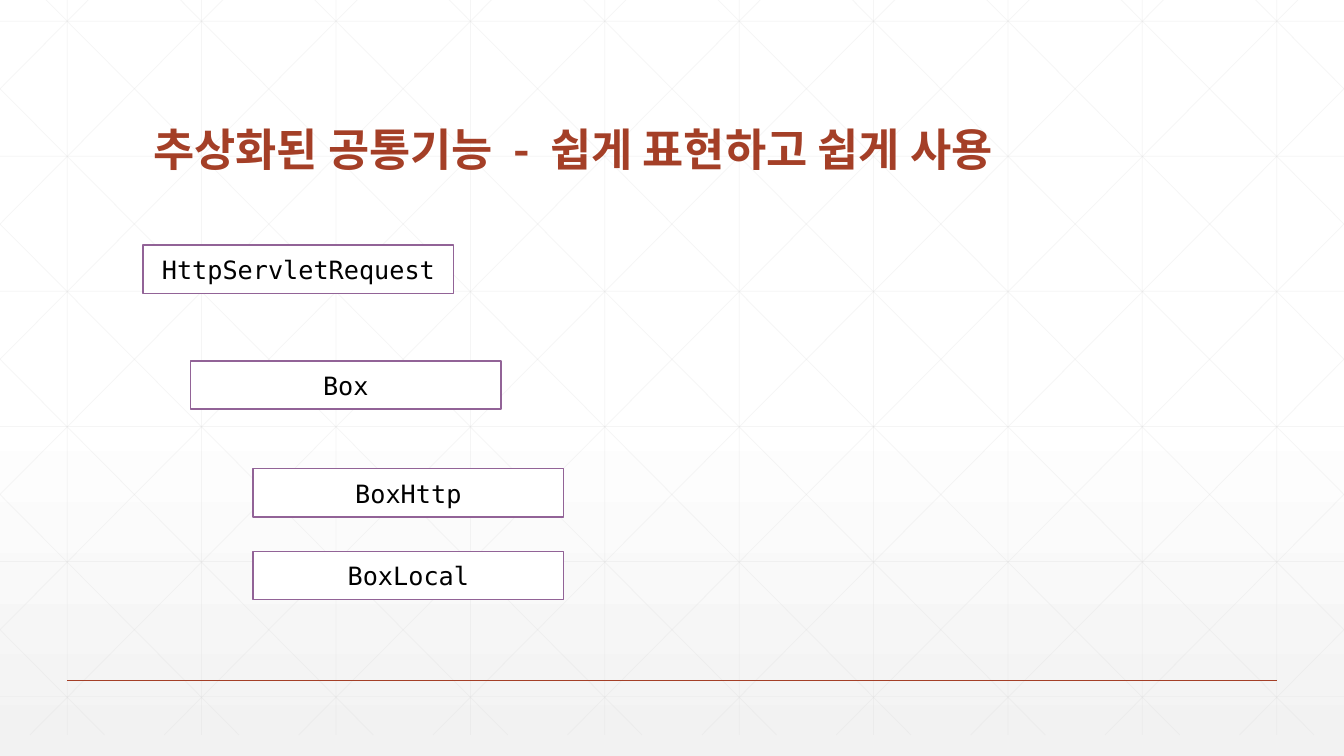
from dataclasses import dataclass

from lxml.etree import SubElement
from pptx import Presentation
from pptx.dml.color import RGBColor
from pptx.enum.shapes import MSO_CONNECTOR, MSO_SHAPE
from pptx.enum.text import MSO_ANCHOR, PP_ALIGN
from pptx.oxml import parse_xml
from pptx.oxml.ns import nsdecls, qn
from pptx.slide import Slide
from pptx.text.text import TextFrame
from pptx.util import Inches, Pt

# The slide is a grid of 100 columns by 100 rows
WIDTH, HEIGHT = Inches(13.333), Inches(7.5)
COLORS = {
    "paper": "FFFFFF",
    "fade": "F2F2F2",
    "mesh": "D9D9D9",
    "accent": "A43F27",
    "border": "926397",
    "code": "000000",
}
TITLE_FONT, CODE_FONT = "Noto Sans CJK KR", "DejaVu Sans Mono"

# Background mesh, in columns and rows
MESH_TOP, MESH_BOTTOM = -2.8, 97.2
COLUMN_STEP, ROW_STEP = 10, 17.87
DIAGONAL_START, DIAGONAL_RUN = 1.87, 55.9


@dataclass(frozen=True)
class ClassBox:
    name: str
    column: float
    row: float
    columns: float = 23.1
    rows: float = 6.4


CLASS_BOXES = [
    ClassBox("HttpServletRequest", 10.65, 32.4),
    ClassBox("Box", 14.18, 47.73),
    ClassBox("BoxHttp", 18.83, 62),
    ClassBox("BoxLocal", 18.83, 72.93),
]


def across(columns: float) -> int:
    return round(WIDTH * columns / 100)


def down(rows: float) -> int:
    return round(HEIGHT * rows / 100)


def color(name: str) -> RGBColor:
    return RGBColor.from_string(COLORS[name])


def write(frame: TextFrame, text: str, *, font: str, size: float, ink: str,
          bold: bool = False, spacing: float = 0) -> None:
    """Append a run to the first paragraph of a frame."""
    run = frame.paragraphs[0].add_run()
    run.text = text
    run.font.name, run.font.size, run.font.bold = font, Pt(size), bold
    run.font.color.rgb = color(ink)
    properties = run.font._element
    SubElement(properties, qn("a:ea")).set("typeface", font)
    if spacing:
        properties.set("spc", str(round(spacing * 100)))


def draw_line(slide: Slide, start: tuple[float, float], end: tuple[float, float],
              ink: str, width: float, opacity: int = 100) -> None:
    line = slide.shapes.add_connector(
        MSO_CONNECTOR.STRAIGHT, across(start[0]), down(start[1]),
        across(end[0]), down(end[1]))
    line.line.width = Pt(width)
    line.line.color.rgb = color(ink)
    properties = line._element.spPr
    if opacity < 100:
        shade = properties.find(".//" + qn("a:srgbClr"))
        SubElement(shade, qn("a:alpha")).set("val", str(opacity * 1000))
    SubElement(properties, qn("a:effectLst"))


def paint_background(slide: Slide) -> None:
    slide.background.fill.gradient()
    gradient = slide.background._cSld.find(".//" + qn("a:gradFill"))
    gradient.getparent().replace(gradient, parse_xml(
        f'<a:gradFill rotWithShape="1" {nsdecls("a")}><a:gsLst>'
        f'<a:gs pos="0"><a:srgbClr val="{COLORS["paper"]}"/></a:gs>'
        f'<a:gs pos="53000"><a:srgbClr val="{COLORS["paper"]}"/></a:gs>'
        f'<a:gs pos="100000"><a:srgbClr val="{COLORS["fade"]}">'
        '<a:alpha val="65000"/></a:srgbClr></a:gs>'
        '</a:gsLst><a:lin ang="5400000" scaled="0"/></a:gradFill>'))


def draw_mesh(slide: Slide) -> None:
    segments = []
    for index in range(10):
        column = COLUMN_STEP * (index + 0.5)
        segments.append(((column, MESH_TOP), (column, MESH_BOTTOM)))
    for index in range(6):
        row = -MESH_TOP + ROW_STEP * index
        segments.append(((0, row), (100, row)))

    # Diagonals stop at the slide's sides; each has a mirrored twin
    slope = (MESH_BOTTOM - MESH_TOP) / DIAGONAL_RUN
    for index in range(-5, 10):
        column = DIAGONAL_START + COLUMN_STEP * index
        left, right = max(column, 0), min(column + DIAGONAL_RUN, 100)
        upper = MESH_TOP + (left - column) * slope
        lower = MESH_TOP + (right - column) * slope
        segments.append(((left, upper), (right, lower)))
        segments.append(((100 - left, upper), (100 - right, lower)))

    for start, end in segments:
        draw_line(slide, start, end, "mesh", 0.5, opacity=25)


def draw_title(slide: Slide) -> None:
    title = slide.shapes.add_textbox(
        across(10.65), down(7.33), across(78.75), down(16.67)).text_frame
    title.word_wrap = True
    title.vertical_anchor = MSO_ANCHOR.BOTTOM
    title.paragraphs[0].line_spacing = 0.9
    # The dash stands in wider gaps than the words
    for text, spacing in (("추상화된 공통기능", 0), (" -", 7),
                          (" 쉽게 표현하고 쉽게 사용", 0)):
        write(title, text, font=TITLE_FONT, size=32, ink="accent",
              bold=True, spacing=spacing)


def draw_class_box(slide: Slide, box: ClassBox) -> None:
    outline = slide.shapes.add_shape(
        MSO_SHAPE.RECTANGLE, across(box.column), down(box.row),
        across(box.columns), down(box.rows))
    outline.shadow.inherit = False
    outline.fill.solid()
    outline.fill.fore_color.rgb = color("paper")
    outline.line.color.rgb = color("border")
    outline.line.width = Pt(1)
    label = outline.text_frame
    label.word_wrap = True
    label.vertical_anchor = MSO_ANCHOR.MIDDLE
    label.paragraphs[0].alignment = PP_ALIGN.CENTER
    write(label, box.name, font=CODE_FONT, size=18, ink="code")


def main() -> None:
    deck = Presentation()
    deck.slide_width, deck.slide_height = WIDTH, HEIGHT
    slide = deck.slides.add_slide(deck.slide_layouts[6])

    # Backdrop and footer rule
    paint_background(slide)
    draw_mesh(slide)
    draw_line(slide, (5, 90), (95, 90), "accent", 1)

    # Title and class boxes
    draw_title(slide)
    for box in CLASS_BOXES:
        draw_class_box(slide, box)

    deck.save("out.pptx")


if __name__ == "__main__":
    main()
